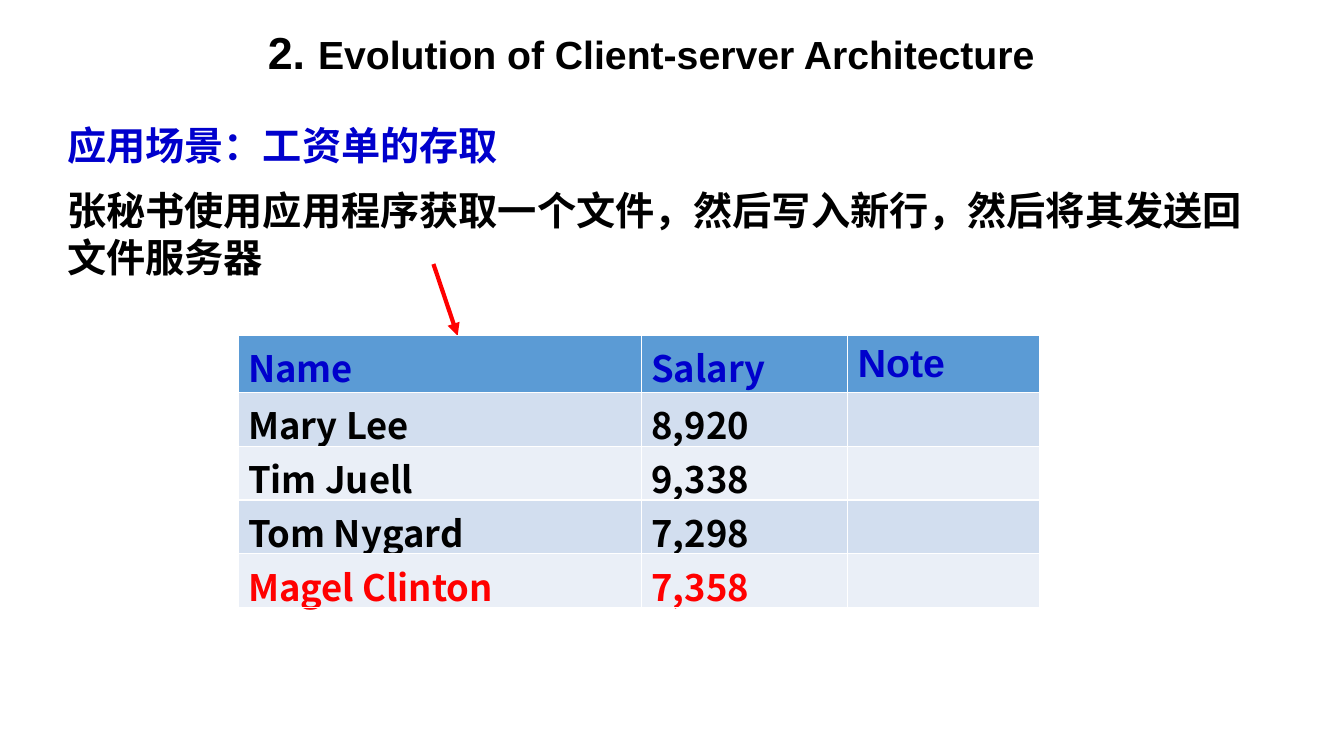
from dataclasses import dataclass

from lxml.etree import SubElement
from pptx import Presentation
from pptx.dml.color import RGBColor as Rgb
from pptx.enum.shapes import MSO_CONNECTOR as Connector
from pptx.enum.text import MSO_ANCHOR as Anchor, PP_ALIGN as Align
from pptx.oxml.ns import qn
from pptx.util import Pt


@dataclass(frozen=True)
class Theme:
    """Colours, fonts and type sizes of the slide."""
    ink: Rgb = Rgb(0, 0, 0)
    blue: Rgb = Rgb(0, 0, 0xCC)
    red: Rgb = Rgb(0xFF, 0, 0)
    header: Rgb = Rgb(0x5B, 0x9B, 0xD5)
    bands: tuple = (Rgb(0xD2, 0xDE, 0xEF), Rgb(0xEA, 0xEF, 0xF7))
    latin: str = "Arial"
    chinese: str = "Noto Sans CJK SC"
    number_size: int = 32
    text_size: int = 28
    cell_size: int = 26


THEME = Theme()
PAYROLL = (
    ("Name", "Salary", "Note"),
    ("Mary Lee", "8,920", ""),
    ("Tim Juell", "9,338", ""),
    ("Tom Nygard", "7,298", ""),
    ("Magel Clinton", "7,358", ""),
)


def style_run(run, size, face, colour):
    """Make a run bold in the given size, typeface and colour."""
    font = run.font
    font.size, font.name, font.bold = Pt(size), face, True
    font.color.rgb = colour
    SubElement(run._r.get_or_add_rPr(), qn("a:ea"), typeface=face)


def add_heading(slide, left, top, width, height):
    """Place the numbered heading, centred in its box."""
    frame = slide.shapes.add_textbox(Pt(left), Pt(top), Pt(width), Pt(height)).text_frame
    frame.word_wrap = False
    heading = frame.paragraphs[0]
    heading.alignment = Align.CENTER
    props = heading._p.get_or_add_pPr()
    props.set("marL", str(Pt(27)))
    props.set("indent", str(Pt(-27)))
    SubElement(props, qn("a:buFont"), typeface=THEME.latin)
    SubElement(props, qn("a:buAutoNum"), type="arabicPeriod", startAt="2")
    for words, size in ((" ", THEME.number_size),
                        ("Evolution of Client-server Architecture", THEME.text_size)):
        run = heading.add_run()
        run.text = words
        style_run(run, size, THEME.latin, THEME.ink)


def add_scenario(slide, left, top, width, height):
    """Place the scenario title and its description."""
    frame = slide.shapes.add_textbox(Pt(left), Pt(top), Pt(width), Pt(height)).text_frame
    frame.word_wrap = True
    frame.text = ("应用场景：工资单的存取\n"
                  "张秘书使用应用程序获取一个文件，然后写入新行，然后将其发送回文件服务器")
    for paragraph, colour in zip(frame.paragraphs, (THEME.blue, THEME.ink)):
        style_run(paragraph.runs[0], THEME.text_size, THEME.chinese, colour)
    frame.paragraphs[1].space_before = Pt(13)


def add_payroll(slide, left, top, column_widths, row_height):
    """Place the payroll table, its newest row in red."""
    table = slide.shapes.add_table(
        len(PAYROLL), len(column_widths), Pt(left), Pt(top),
        Pt(sum(column_widths)), Pt(row_height * len(PAYROLL))).table
    for column, width in zip(table.columns, column_widths):
        column.width = Pt(width)
    newest = len(PAYROLL) - 1
    for index, entry in enumerate(PAYROLL):
        fill = THEME.bands[(index - 1) % 2] if index else THEME.header
        colour = {0: THEME.blue, newest: THEME.red}.get(index, THEME.ink)
        for position, words in enumerate(entry):
            cell = table.cell(index, position)
            cell.fill.solid()
            cell.fill.fore_color.rgb = fill
            cell.vertical_anchor = Anchor.MIDDLE
            if words:
                cell.text_frame.text = words
                size, face = ((THEME.text_size, THEME.latin) if words == "Note"
                              else (THEME.cell_size, THEME.chinese))
                style_run(cell.text_frame.paragraphs[0].runs[0], size, face, colour)


def add_arrow(slide, left, top, width, height):
    """Draw the red arrow down across its box."""
    arrow = slide.shapes.add_connector(
        Connector.STRAIGHT, Pt(left), Pt(top), Pt(left + width), Pt(top + height))
    arrow.line.color.rgb = THEME.red
    arrow.line.width = Pt(3)
    SubElement(arrow.line._get_or_add_ln(), qn("a:tailEnd"), type="triangle")
    SubElement(arrow._element.spPr, qn("a:effectLst"))


def main():
    """Build and save the slide."""
    deck = Presentation()
    deck.slide_width, deck.slide_height = Pt(960), Pt(540)
    slide = deck.slides.add_slide(deck.slide_layouts[6])
    add_scenario(slide, 41, 83, 870.5, 126)
    add_arrow(slide, 309.6, 188.6, 17.3, 51.2)
    add_heading(slide, 180.7, 14.4, 568.8, 46)
    add_payroll(slide, 170, 239.5, (288, 147.6, 136.8), 29.5)
    deck.save("out.pptx")


if __name__ == "__main__":
    main()
